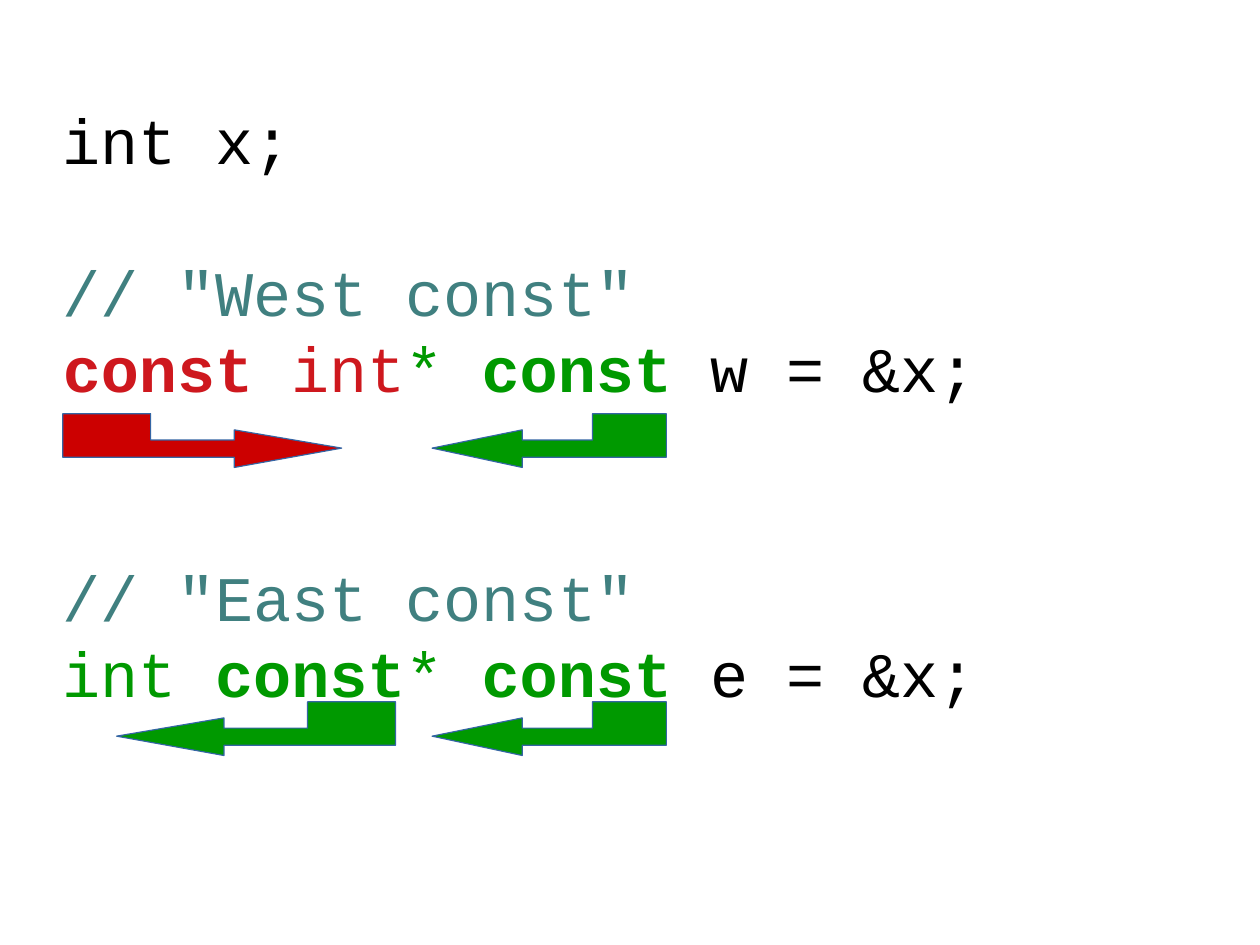
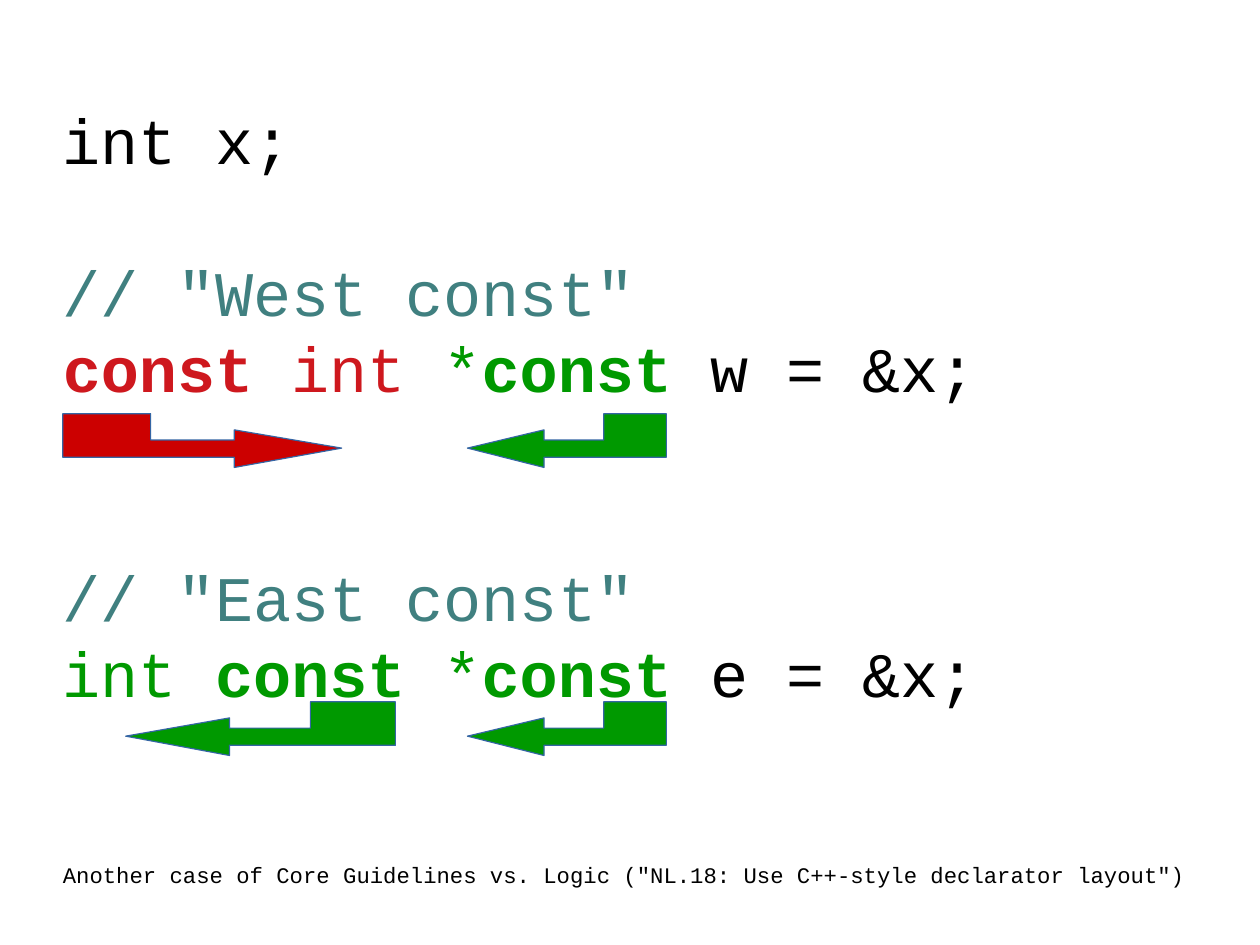
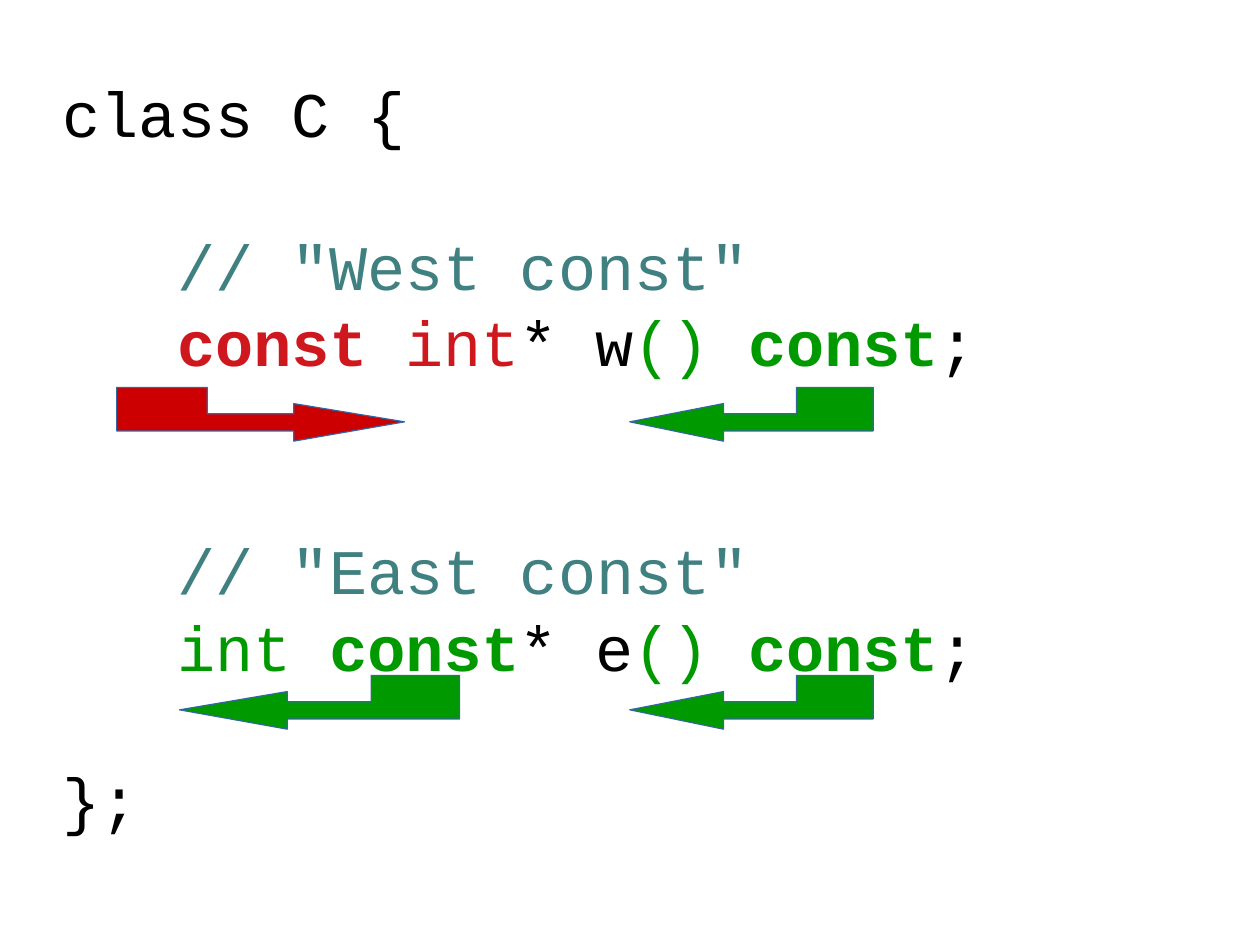
from pptx import Presentation
from pptx.dml.color import RGBColor
from pptx.enum.text import MSO_ANCHOR, MSO_AUTO_SIZE
from pptx.util import Cm, Inches, Pt

TOP = MSO_ANCHOR.TOP
NO_FIT = MSO_AUTO_SIZE.NONE
SLIDE_W, SLIDE_H = Cm(28), Cm(21)
LEFT, TEXT_W, TEXT_H = 0.55, 10.31, 6.9
FONT = "Courier New"
CODE_SIZE, LINE_PITCH = 40, 48
NOTE_SIZE, NOTE_PITCH = 14, 16
RED_ARROW, GREEN, OUTLINE = "CC0000", "009900", "3465A4"

PLAIN = ("000000", False)
COMMENT = ("408080", False)
WEST, WEST_BOLD = ("CE181E", False), ("CE181E", True)
EAST, EAST_BOLD = (GREEN, False), (GREEN, True)

ARROW_H = 0.47
ARROW_ROWS = (2.74, 5.26)
ARROW_OUTLINE = (
    (0.615, 0.3), (0.615, 0.49), (0.315, 0.49), (0.315, 0), (0, 0),
    (0, 0.81), (0.615, 0.81), (0.615, 1), (1, 0.64),
)


def color(hex_string):
    return RGBColor.from_string(hex_string)


def add_line(p, runs, rows_before, size=CODE_SIZE, pitch=LINE_PITCH):
    p.line_spacing = Pt(pitch)
    p.space_before = Pt(rows_before * LINE_PITCH)
    for text, (hex_string, bold) in runs:
        r = p.add_run()
        r.text = text
        r.font.name = FONT
        r.font.size = Pt(size)
        r.font.bold = bold
        r.font.color.rgb = color(hex_string)


def add_code(s, top, lines):
    box = s.shapes.add_textbox(Inches(LEFT), Inches(top), Inches(TEXT_W), Inches(TEXT_H))
    tf = box.text_frame
    tf.word_wrap = True
    tf.auto_size = NO_FIT
    tf.vertical_anchor = TOP
    tf.margin_left = tf.margin_top = tf.margin_right = tf.margin_bottom = 0
    for i, (rows_before, runs) in enumerate(lines):
        p = tf.add_paragraph() if i else tf.paragraphs[0]
        add_line(p, runs, rows_before)
    return tf


def add_arrow(s, top, tail, tip, fill):
    points = [
        (Inches(tail + x * (tip - tail)), Inches(top + y * ARROW_H))
        for x, y in ARROW_OUTLINE
    ]
    builder = s.shapes.build_freeform(*points[0])
    builder.add_line_segments(points[1:], close=True)
    arrow = builder.convert_to_shape()
    arrow.shadow.inherit = False
    arrow.fill.solid()
    arrow.fill.fore_color.rgb = color(fill)
    arrow.line.color.rgb = color(OUTLINE)
    arrow.line.width = Pt(0)


def const_slide(prs, top, opening, west, east, west_arrow, east_arrow,
                last_arrow, indent="", closing=()):
    s = prs.slides.add_slide(prs.slide_layouts[6])
    lines = [
        (0, [(opening, PLAIN)]),
        (1, [(indent + '// "West const"', COMMENT)]),
        (0, [(indent + "const", WEST_BOLD), *west]),
        (2, [(indent + '// "East const"', COMMENT)]),
        (0, [(indent + "int ", EAST), ("const", EAST_BOLD), *east]),
        *closing,
    ]
    tf = add_code(s, top, lines)
    first_arrows = ((west_arrow, RED_ARROW), (east_arrow, GREEN))
    for row, (ends, fill) in zip(ARROW_ROWS, first_arrows):
        add_arrow(s, top + row, *ends, fill)
        add_arrow(s, top + row, *last_arrow, GREEN)
    return tf


def method_end(name):
    return [("* " + name, PLAIN), ("() ", EAST), ("const", EAST_BOLD), (";", PLAIN)]


def pointer_end(star, space, name):
    return [(star, EAST), (space + "const", EAST_BOLD), (f" {name} = &x;", PLAIN)]


def main():
    prs = Presentation()
    prs.slide_width, prs.slide_height = SLIDE_W, SLIDE_H

    const_slide(
        prs, 0.88, "int x;",
        [(" int", WEST), *pointer_end("*", " ", "w")], pointer_end("*", " ", "e"),
        (0.55, 2.99), (3.46, 1.02), (5.83, 3.78))

    tf = const_slide(
        prs, 0.88, "int x;",
        [(" int", WEST), *pointer_end(" *", "", "w")], pointer_end(" *", "", "e"),
        (0.55, 2.99), (3.46, 1.1), (5.83, 4.09))
    note = 'Another case of Core Guidelines vs. Logic ("NL.18: Use C++-style declarator layout")'
    add_line(tf.add_paragraph(), [(note, PLAIN)], 2, NOTE_SIZE, NOTE_PITCH)

    const_slide(
        prs, 0.65, "class C {",
        [(" int", WEST), *method_end("w")], method_end("e"),
        (1.02, 3.54), (4.02, 1.57), (7.64, 5.51),
        indent="   ", closing=[(1, [("};", PLAIN)])])

    prs.save("out.pptx")


if __name__ == "__main__":
    main()
